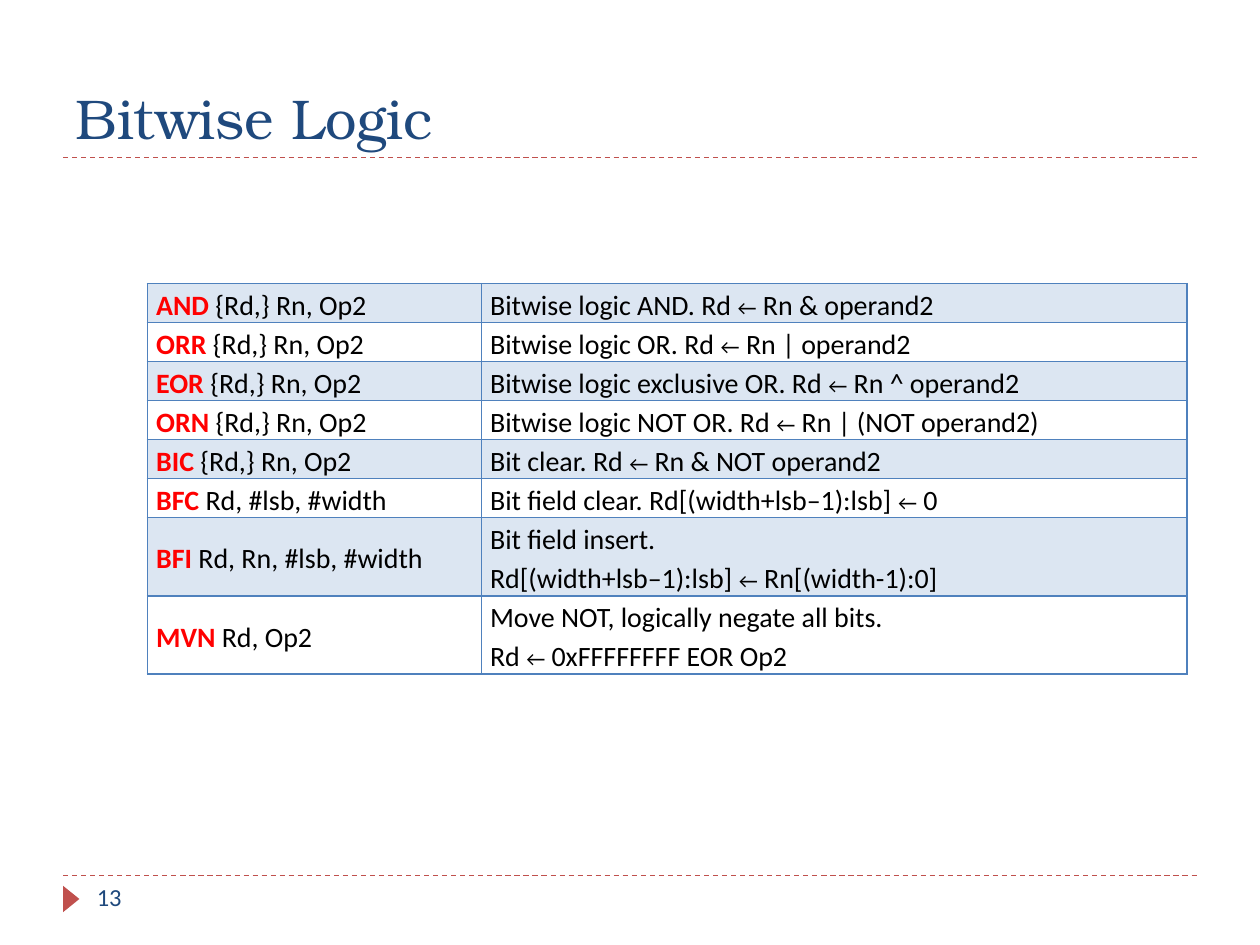
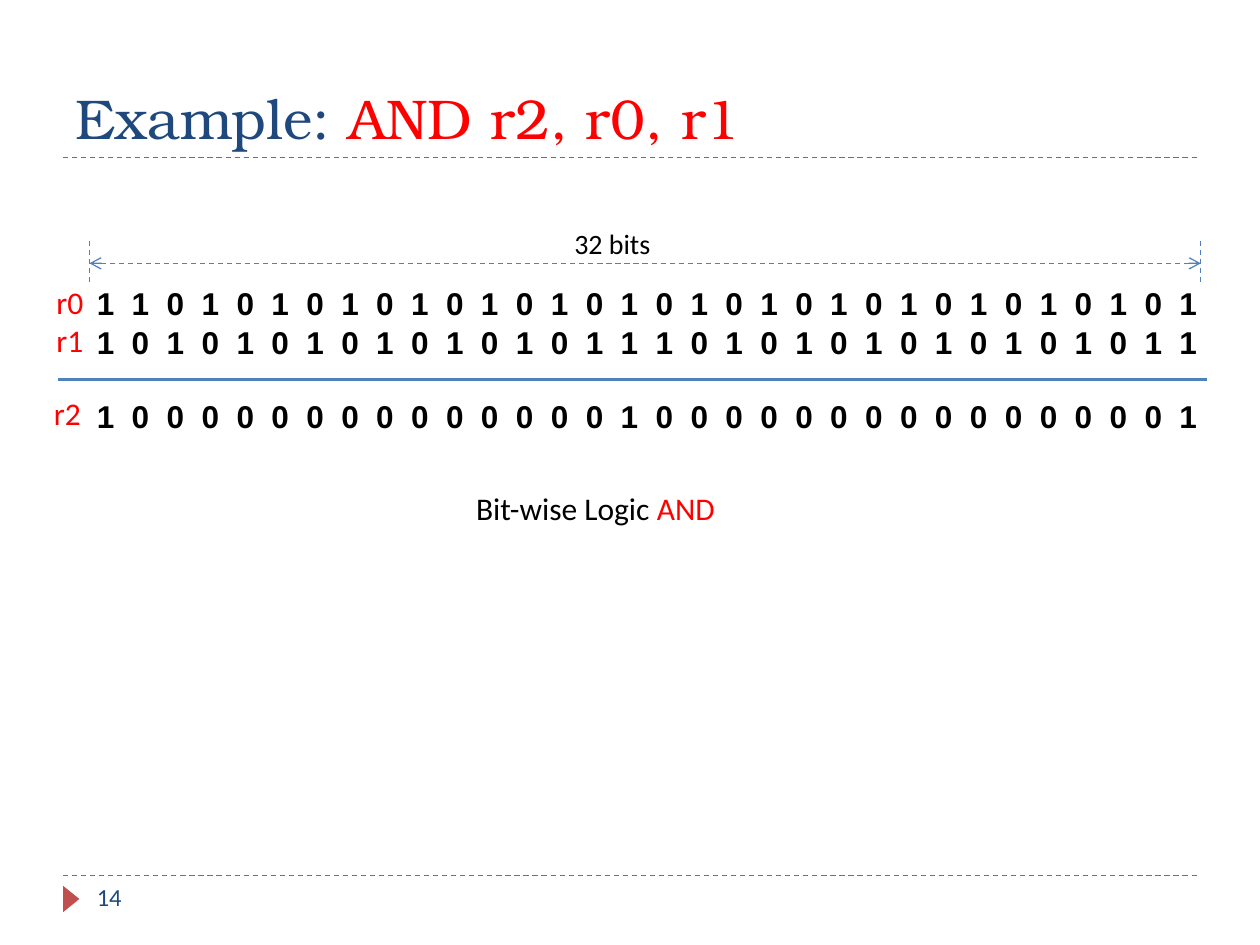
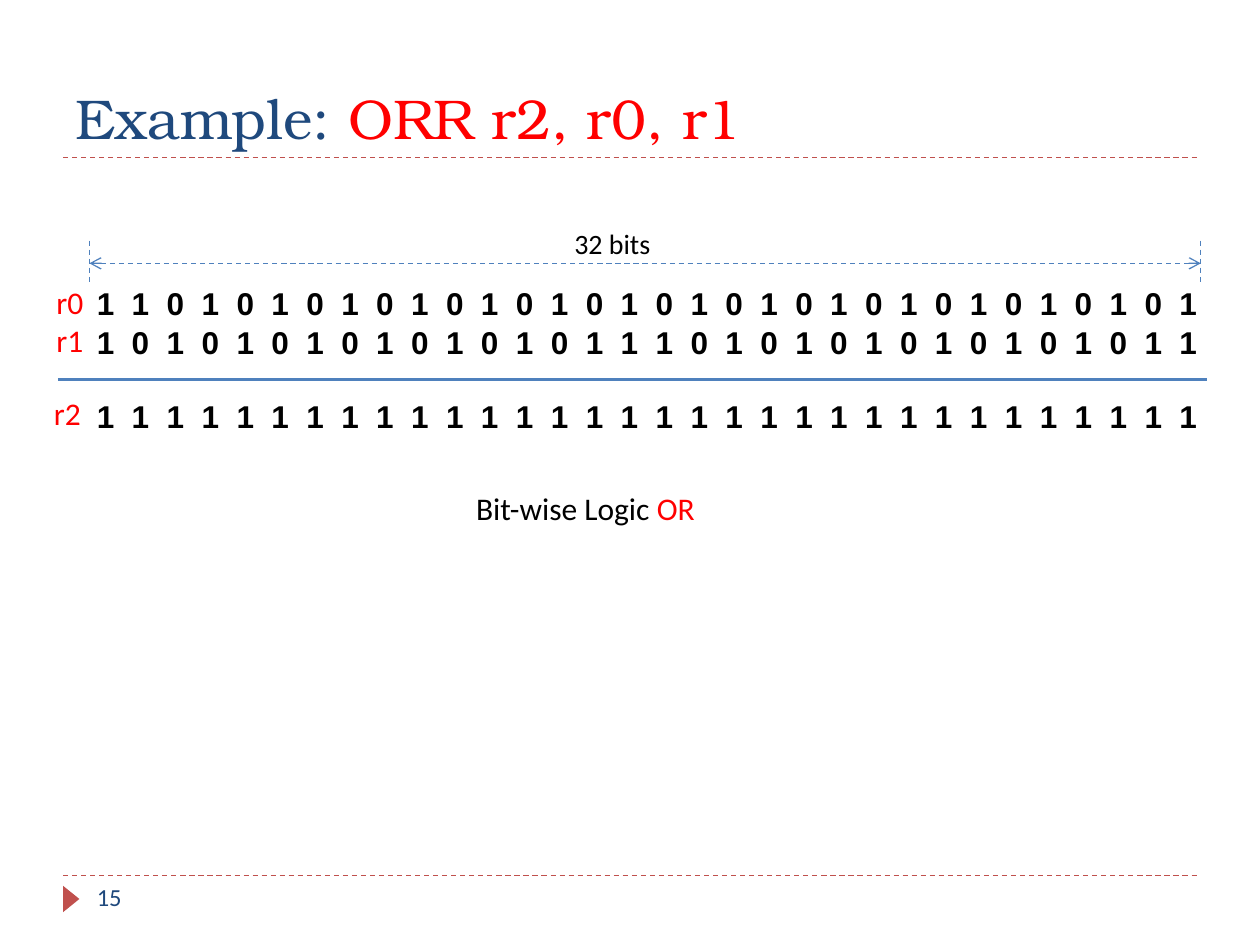
from lxml import etree
from pptx import Presentation
from pptx.dml.color import RGBColor
from pptx.enum.dml import MSO_LINE
from pptx.enum.shapes import MSO_CONNECTOR, MSO_SHAPE
from pptx.enum.text import MSO_ANCHOR, MSO_AUTO_SIZE, PP_ALIGN
from pptx.oxml.ns import qn
from pptx.util import Inches, Pt

NAVY = RGBColor(0x1F, 0x49, 0x7D)
BLUE = RGBColor(0x4F, 0x81, 0xBD)
PALE_BLUE = RGBColor(0xDC, 0xE6, 0xF2)
BRICK = RGBColor(0xC0, 0x50, 0x4D)
RED = RGBColor(0xFF, 0x00, 0x00)
BLACK = RGBColor(0x00, 0x00, 0x00)

BODY_FONT = "Calibri"
TITLE_FONT = "TeX Gyre Bonum"
BIT_FONT = "Arial"
DASH = MSO_LINE.DASH
STRAIGHT = MSO_CONNECTOR.STRAIGHT
TRIANGLE = MSO_SHAPE.ISOSCELES_TRIANGLE
LEFT, JUSTIFY = PP_ALIGN.LEFT, PP_ALIGN.JUSTIFY
BOTTOM, MIDDLE = MSO_ANCHOR.BOTTOM, MSO_ANCHOR.MIDDLE
NO_AUTOFIT = MSO_AUTO_SIZE.NONE


def add_run(paragraph, text, size, color=BLACK, font=BODY_FONT, bold=False):
    run = paragraph.add_run()
    run.text = text
    run.font.size = Pt(size)
    run.font.name = font
    run.font.bold = bold
    run.font.color.rgb = color
    return run


def add_line(slide, x1, y1, x2, y2, color=BLUE, width=0.75, dash=DASH):
    line = slide.shapes.add_connector(
        STRAIGHT, Inches(x1), Inches(y1), Inches(x2), Inches(y2))
    line.line.width = Pt(width)
    line.line.color.rgb = color
    line.line.dash_style = dash
    etree.SubElement(line.element.spPr, qn("a:effectLst"))
    return line


prs = Presentation()
prs.slide_width, prs.slide_height = Inches(10), Inches(7.5)
title_only = prs.slide_layouts[5]

# Slide contents
FIRST_NUMBER = 13
titles = [
    [("Bitwise Logic", NAVY)],
    [("Example: ", NAVY), ("AND r2, r0, r1", RED)],
    [("Example: ", NAVY), ("ORR r2, r0, r1", RED)],
]
instructions = [
    ("AND ", "{Rd,} Rn, Op2", ["Bitwise logic AND. Rd ← Rn & operand2"]),
    ("ORR ", "{Rd,} Rn, Op2", ["Bitwise logic OR. Rd ← Rn | operand2"]),
    ("EOR ", "{Rd,} Rn, Op2", ["Bitwise logic exclusive OR. Rd ← Rn ^ operand2"]),
    ("ORN ", "{Rd,} Rn, Op2", ["Bitwise logic NOT OR. Rd ← Rn | (NOT operand2)"]),
    ("BIC ", "{Rd,} Rn, Op2", ["Bit clear. Rd ← Rn & NOT operand2"]),
    ("BFC ", "Rd, #lsb, #width", ["Bit field clear. Rd[(width+lsb–1):lsb] ← 0"]),
    ("BFI ", "Rd, Rn, #lsb, #width",
     ["Bit field insert. ", "Rd[(width+lsb–1):lsb] ← Rn[(width-1):0]"]),
    ("MVN ", "Rd, Op2",
     ["Move NOT, logically negate all bits. ", "Rd ← 0xFFFFFFFF EOR Op2"]),
]
r0 = int("1" + "10" * 15 + "1", 2)
r1 = int(("10" * 7 + "11") * 2, 2)
examples = [("AND", r0 & r1, 2.23), ("OR", r0 | r1, 2.06)]

# Titles and slide numbers
slides = []
for number, title_runs in enumerate(titles, FIRST_NUMBER):
    slide = prs.slides.add_slide(title_only)
    slides.append(slide)
    title = slide.shapes.title
    title.left, title.top = Inches(0.5), Inches(0.17)
    title.width, title.height = Inches(9), Inches(1.08)
    title.text_frame.vertical_anchor = BOTTOM
    title.text_frame.auto_size = NO_AUTOFIT
    heading = title.text_frame.paragraphs[0]
    heading.alignment = LEFT
    for text, color in title_runs:
        add_run(heading, text, 32, color, TITLE_FONT)

    page = slide.shapes.add_textbox(
        Inches(0.67), Inches(6.95), Inches(2.17), Inches(0.4))
    page.text_frame.word_wrap = True
    add_run(page.text_frame.paragraphs[0], str(number), 14, NAVY)

logic_slide, *example_slides = slides

# Rules and footer marker, moved to the shared layout
marker = logic_slide.shapes.add_shape(
    TRIANGLE, Inches(0.46), Inches(7.07), Inches(0.21), Inches(0.13))
marker.rotation = 90
marker.shadow.inherit = False
marker.fill.solid()
marker.fill.fore_color.rgb = BRICK
marker.line.fill.background()
rules = [add_line(logic_slide, 0.5, y, 9.5, y, BRICK) for y in (1.25, 6.95)]
for part in (marker, *rules):
    title_only.shapes.element.append(part.element)

# Instruction table
LINE_HEIGHT = 0.31
table = logic_slide.shapes.add_table(
    len(instructions), 2, Inches(1.17), Inches(2.25),
    Inches(8.25), Inches(10 * LINE_HEIGHT)).table
table.first_row = table.horz_banding = False
table.columns[0].width, table.columns[1].width = Inches(2.65), Inches(5.6)

for index, (mnemonic, operands, meaning) in enumerate(instructions):
    table.rows[index].height = Inches(LINE_HEIGHT * len(meaning))
    syntax_cell, meaning_cell = table.cell(index, 0), table.cell(index, 1)
    syntax = syntax_cell.text_frame.paragraphs[0]
    add_run(syntax, mnemonic, 16, RED, bold=True)
    add_run(syntax, operands, 16)
    for position, text in enumerate(meaning):
        frame = meaning_cell.text_frame
        sentence = frame.add_paragraph() if position else frame.paragraphs[0]
        before, arrow, after = text.partition("←")
        add_run(sentence, before, 16)
        if arrow:
            add_run(sentence, arrow, 12)
            add_run(sentence, after, 16)

    for cell in (syntax_cell, meaning_cell):
        cell.vertical_anchor = MIDDLE
        cell.margin_left = cell.margin_right = Inches(0.07)
        cell.margin_top = cell.margin_bottom = 0
        for paragraph in cell.text_frame.paragraphs:
            paragraph.alignment = JUSTIFY
            paragraph.line_spacing = 1.15
        for side in ("a:lnL", "a:lnR", "a:lnT", "a:lnB"):
            border = etree.SubElement(
                cell._tc.get_or_add_tcPr(), qn(side), w=str(Pt(1)))
            solid = etree.SubElement(border, qn("a:solidFill"))
            etree.SubElement(solid, qn("a:srgbClr"), val=str(BLUE))
        if index % 2 == 0:
            cell.fill.solid()
            cell.fill.fore_color.rgb = PALE_BLUE
        else:
            cell.fill.background()

# Worked examples
for slide, (operation, r2, caption_width) in zip(example_slides, examples):
    # Width marker and result rule
    add_line(slide, 0.46, 3.01, 9.58, 3.01, width=1.5, dash=None)
    for x in (0.71, 9.53):
        add_line(slide, x, 1.91, x, 2.24)
    span = add_line(slide, 0.71, 2.09, 9.53, 2.09)
    for end in ("a:headEnd", "a:tailEnd"):
        etree.SubElement(
            span.element.spPr.find(qn("a:ln")), qn(end), type="arrow")

    # Register bits, spread by character spacing
    bits = slide.shapes.add_textbox(
        Inches(0.67), Inches(2.2), Inches(9.01), Inches(1.31)).text_frame
    bits.word_wrap = False
    for position, value in enumerate((r0, r1, r2)):
        row = bits.add_paragraph() if position else bits.paragraphs[0]
        row.line_spacing = Pt(22)
        digits = add_run(row, " ".join(f"{value:032b}"), 18,
                         font=BIT_FONT, bold=True)
        digits.font._element.set("spc", "250")
    row.space_before = Pt(20.5)

    # Labels and caption
    for left, top, width, size, runs in [
        (4.46, 1.75, 0.81, 16, [("32 bits", BLACK)]),
        (0.35, 2.2, 0.43, 18, [("r0", RED)]),
        (0.35, 2.5, 0.43, 18, [("r1", RED)]),
        (0.33, 3.08, 0.43, 18, [("r2", RED)]),
        (3.68, 3.83, caption_width, 18,
         [("Bit-wise Logic ", BLACK), (operation, RED)]),
    ]:
        label = slide.shapes.add_textbox(
            Inches(left), Inches(top), Inches(width), Inches(0.4)).text_frame
        label.word_wrap = False
        for text, color in runs:
            add_run(label.paragraphs[0], text, size, color)

prs.save("out.pptx")
